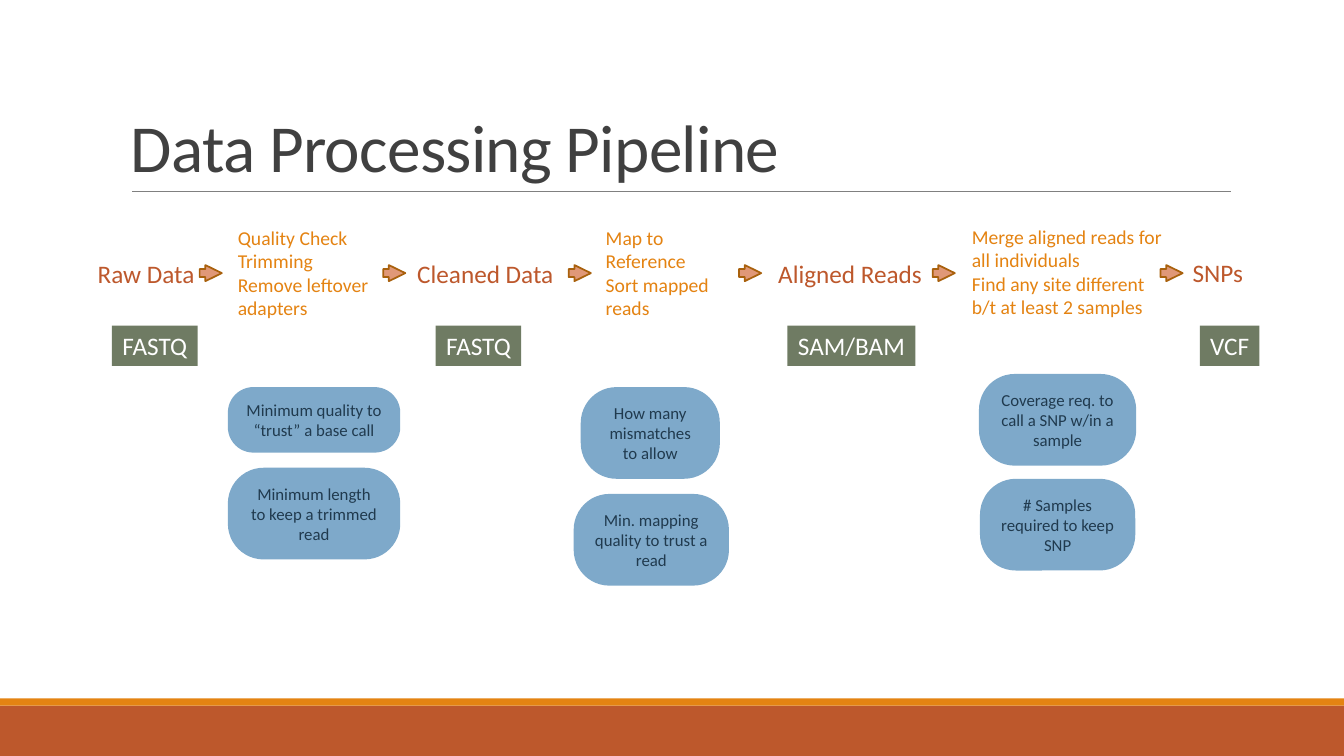
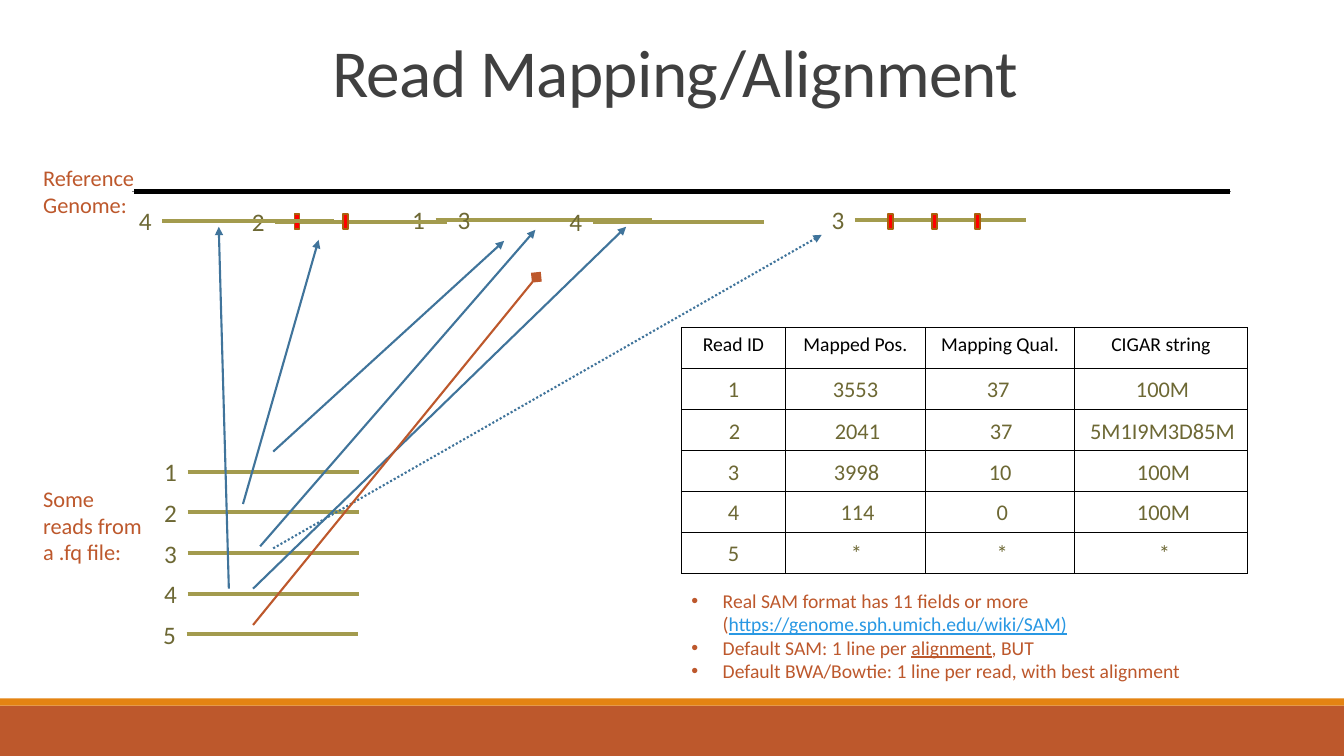
from pptx import Presentation
from pptx.dml.color import RGBColor
from pptx.enum.dml import MSO_LINE
from pptx.enum.shapes import MSO_CONNECTOR, MSO_SHAPE
from pptx.enum.text import MSO_ANCHOR, PP_ALIGN
from pptx.oxml import parse_xml
from pptx.oxml.ns import nsdecls, qn
from pptx.util import Inches, Pt
from lxml.etree import SubElement

FONT = "Calibri"
RUST, ORANGE, GRAY, BLACK, WHITE = "BD582C", "E48312", "404040", "000000", "FFFFFF"
RULE, ARROW, OUTLINE, SAGE = "808080", "E09878", "A9610D", "6F7B63"
SKY, NAVY, BLUE, LINK = "7EA9CA", "203A4E", "40749B", "2998E3"
OLIVE, DARK_OLIVE, RED = "A39B4E", "6D6834", "FF0000"

# Slide 1: text and (left, top, width[, height]) in inches
STAGES = [
    ("Raw Data", 0.87, 2.51, 1.33),
    ("Cleaned Data", 4.04, 2.51, 1.66),
    ("Aligned Reads", 7.62, 2.51, 1.66),
    ("SNPs", 11.73, 2.5, 0.72),
]
STEPS = [
    (["Quality Check", "Trimming", "Remove leftover adapters"], 2.26, 2.19, 1.85),
    (["Map to Reference", "Sort mapped reads"], 5.91, 2.19, 1.53),
    (["Merge aligned reads for all individuals",
      "Find any site different b/t at least 2 samples"], 9.54, 2.18, 2.19),
]
ARROW_LEFTS = [1.98, 3.8, 5.64, 7.33, 9.25, 11.51]
FORMATS = [
    ("FASTQ", 1.11, 0.85),
    ("FASTQ", 4.32, 0.85),
    ("SAM/BAM", 7.81, 1.27),
    ("VCF", 11.9, 0.59),
]
PARAMETERS = [
    ("Minimum quality to “trust” a base call", 2.26, 3.84, 1.71, 0.65),
    ("Minimum length to keep a trimmed read", 2.26, 4.64, 1.71, 0.91),
    ("How many mismatches to allow", 5.76, 3.84, 1.38, 0.91),
    ("Min. mapping quality to trust a read", 5.69, 4.9, 1.54, 0.91),
    ("Coverage req. to call a SNP w/in a sample", 9.71, 3.71, 1.56, 0.91),
    ("# Samples required to keep SNP", 9.72, 4.75, 1.54, 0.91),
]

# Slide 2
CAPTIONS = [
    ("Reference Genome:", 0.33, 1.58, 1.38, 0.64),
    ("Some reads from a .fq file:", 0.33, 4.76, 1.2, 0.91),
]
READ_LENGTH = 1.7
# read, line start, line height, left edges of mismatches
FASTQ_READS = [
    ("1", 1.86, 4.68, []),
    ("2", 1.86, 5.08, []),
    ("3", 1.86, 5.49, []),
    ("4", 1.86, 5.89, []),
    ("5", 1.85, 6.29, []),
]
MAPPED_READS = [
    ("1", 4.32, 2.18, []),
    ("2", 2.73, 2.2, [2.92, 3.4]),
    ("3", 4.77, 2.18, []),
    ("3", 8.48, 2.18, [8.81, 9.24, 9.67]),
    ("4", 1.61, 2.19, []),
    ("4", 5.88, 2.2, []),
]
# start, end, colour, arrowhead, dash
MAPPING_ARROWS = [
    ((2.71, 4.48), (5, 2.39), BLUE, "triangle", None),
    ((2.41, 5), (3.16, 2.38), BLUE, "triangle", None),
    ((2.58, 5.42), (5.31, 2.28), BLUE, "triangle", None),
    ((2.71, 5.44), (8.15, 2.33), BLUE, "triangle", MSO_LINE.ROUND_DOT),
    ((2.27, 5.84), (2.17, 2.25), BLUE, "triangle", None),
    ((2.51, 5.84), (6.21, 2.25), BLUE, "triangle", None),
    ((2.51, 6.2), (5.32, 2.75), RUST, "diamond", None),
]
SAM_HEADERS = [("Read ID", 1.03), ("Mapped Pos.", 1.39),
               ("Mapping Qual.", 1.48), ("CIGAR string", 1.71)]
# values laid over the grid: top, then (text, left) for each column
SAM_VALUES = [
    (3.67, [("1", 6.76), ("3553", 7.8), ("37", 9.16), ("100M", 10.65)]),
    (4.09, [("2", 6.77), ("2041", 7.82), ("37", 9.19), ("5M1I9M3D85M", 10.65)]),
    (4.49, [("3", 6.76), ("3998", 7.81), ("10", 9.18), ("100M", 10.66)]),
    (4.89, [("4", 6.76), ("114", 7.82), ("0", 9.2), ("100M", 10.66)]),
    (5.3, [("5", 6.76), ("*", 7.81), ("*", 9.2), ("*", 10.67)]),
]
VALUE_WIDTHS = [1.03, 1.37, 1.48, 1.76]
# paragraphs of (text, colour, underlined)
SAM_NOTES = [
    [("Real SAM format has 11 fields or more (", RUST, False),
     ("https://genome.sph.umich.edu/wiki/SAM)", LINK, True)],
    [("Default SAM: 1 line per ", RUST, False), ("alignment", RUST, True),
     (", BUT", RUST, False)],
    [("Default BWA/Bowtie: 1 line per read, with best alignment", RUST, False)],
]


def rgb(color):
    return RGBColor.from_string(color)


def write(tf, paragraphs, size, color, align=PP_ALIGN.LEFT, bullet=False):
    """Fill a text frame; a paragraph is a string or a list of styled runs."""
    for i, runs in enumerate(paragraphs):
        p = tf.paragraphs[0] if i == 0 else tf.add_paragraph()
        p.alignment = align
        if bullet:
            pPr = p._p.get_or_add_pPr()
            pPr.set("marL", str(Inches(0.31)))
            pPr.set("indent", str(-Inches(0.31)))
            SubElement(pPr, qn("a:buFont")).set("typeface", "Arial")
            SubElement(pPr, qn("a:buChar")).set("char", "•")
        if isinstance(runs, str):
            runs = [(runs, color, False)]
        for text, run_color, underlined in runs:
            r = p.add_run()
            r.text = text
            r.font.name = FONT
            r.font.size = Pt(size)
            r.font.color.rgb = rgb(run_color)
            if underlined:
                r.font.underline = True


def add_text(s, box, paragraphs, size, color, align=PP_ALIGN.LEFT,
             anchor=MSO_ANCHOR.TOP, bullet=False):
    tf = s.shapes.add_textbox(*map(Inches, box)).text_frame
    tf.word_wrap = True
    tf.vertical_anchor = anchor
    write(tf, paragraphs, size, color, align, bullet)
    return tf


def add_shape(s, kind, box, fill, line=None):
    sp = s.shapes.add_shape(kind, *map(Inches, box))
    sp.shadow.inherit = False
    sp.fill.solid()
    sp.fill.fore_color.rgb = rgb(fill)
    if line:
        sp.line.color.rgb = rgb(line)
        sp.line.width = Pt(1.25)
    else:
        sp.line.fill.background()
    return sp


def add_line(s, start, end, color, width, head=None, dash=None):
    cx = s.shapes.add_connector(MSO_CONNECTOR.STRAIGHT, *map(Inches, start + end))
    cx.line.color.rgb = rgb(color)
    cx.line.width = Pt(width)
    if dash:
        cx.line.dash_style = dash
    if head:
        tail = SubElement(cx.line._get_or_add_ln(), qn("a:tailEnd"))
        tail.set("type", head)
        if head == "diamond":
            tail.set("w", "lg")
            tail.set("len", "lg")
    SubElement(cx._element.spPr, qn("a:effectLst"))


def add_slide(prs, title, top, height, align):
    """Start a slide with the shared bands, rule and title."""
    s = prs.slides.add_slide(prs.slide_layouts[6])
    add_shape(s, MSO_SHAPE.RECTANGLE, (0, 7, 13.33, 0.5), RUST)
    add_shape(s, MSO_SHAPE.RECTANGLE, (0, 6.93, 13.33, 0.07), ORANGE)
    add_line(s, (1.31, 1.9), (12.21, 1.9), RULE, 0.5)
    tf = add_text(s, (1.2, top, 11, height), [title], 48, GRAY, align, MSO_ANCHOR.BOTTOM)
    p = tf.paragraphs[0]
    p.line_spacing = 0.85
    p.runs[0].font._element.set("spc", "-50")
    return s


def add_read(s, label, left, y, mismatches):
    add_line(s, (left, y), (left + READ_LENGTH, y), OLIVE, 3)
    add_text(s, (left - 0.33, y - 0.2, 0.33, 0.4), [label], 18, DARK_OLIVE)
    for x in mismatches:
        add_shape(s, MSO_SHAPE.RECTANGLE, (x, 2.12, 0.05, 0.15), RED, OUTLINE)


def add_borders(cell):
    tcPr = cell._tc.get_or_add_tcPr()
    for i, side in enumerate(("lnL", "lnR", "lnT", "lnB")):
        tcPr.insert(i, parse_xml(
            f'<a:{side} {nsdecls("a")} w="{Pt(1)}"><a:solidFill>'
            f'<a:srgbClr val="{BLACK}"/></a:solidFill></a:{side}>'))


def add_sam_table(s):
    total = sum(width for _, width in SAM_HEADERS)
    table = s.shapes.add_table(len(SAM_VALUES) + 1, len(SAM_HEADERS), Inches(6.76),
                               Inches(3.25), Inches(total), Inches(2.44)).table
    table.first_row = table.horz_banding = False
    for j, (header, width) in enumerate(SAM_HEADERS):
        table.columns[j].width = Inches(width)
        write(table.cell(0, j).text_frame, [header], 14, BLACK, PP_ALIGN.CENTER)
    for cell in table.iter_cells():
        cell.fill.background()
        add_borders(cell)
    for top, values in SAM_VALUES:
        for (text, left), width in zip(values, VALUE_WIDTHS):
            add_text(s, (left, top, width, 0.37), [text], 16, DARK_OLIVE,
                     PP_ALIGN.CENTER, MSO_ANCHOR.MIDDLE)


def build_pipeline(prs):
    s = add_slide(prs, "Data Processing Pipeline", 0.31, 1.59, PP_ALIGN.LEFT)
    for text, left, top, width in STAGES:
        add_text(s, (left, top, width, 0.4), [text], 18, RUST)
    for lines, left, top, width in STEPS:
        add_text(s, (left, top, width, 1.04), lines, 14, ORANGE)
    for left in ARROW_LEFTS:
        sp = add_shape(s, MSO_SHAPE.RIGHT_ARROW, (left, 2.63, 0.22, 0.16), ARROW, OUTLINE)
        sp.adjustments[1] = 1.02
    for text, left, width in FORMATS:
        sp = add_shape(s, MSO_SHAPE.RECTANGLE, (left, 3.23, width, 0.4), SAGE)
        sp.text_frame.word_wrap = False
        write(sp.text_frame, [text], 18, WHITE, PP_ALIGN.CENTER)
    for text, *box in PARAMETERS:
        sp = add_shape(s, MSO_SHAPE.ROUNDED_RECTANGLE, box, SKY)
        sp.adjustments[0] = 0.39
        sp.text_frame.word_wrap = True
        write(sp.text_frame, [text], 12, NAVY, PP_ALIGN.CENTER)


def build_mapping(prs):
    s = add_slide(prs, "Read Mapping/Alignment", 0.34, 0.81, PP_ALIGN.CENTER)
    add_line(s, (1.33, 1.9), (12.2, 1.9), BLACK, 3)
    for text, *box in CAPTIONS:
        add_text(s, box, [text], 16, RUST)
    for read in FASTQ_READS + MAPPED_READS:
        add_read(s, *read)
    add_sam_table(s)
    for start, end, color, head, dash in MAPPING_ARROWS:
        add_line(s, start, end, color, 1.5, head, dash)
    add_text(s, (6.76, 5.79, 5.9, 1.04), SAM_NOTES, 14, RUST, bullet=True)


def main():
    prs = Presentation()
    prs.slide_width, prs.slide_height = Inches(13.33), Inches(7.5)
    build_pipeline(prs)
    build_mapping(prs)
    prs.save("out.pptx")


if __name__ == "__main__":
    main()
